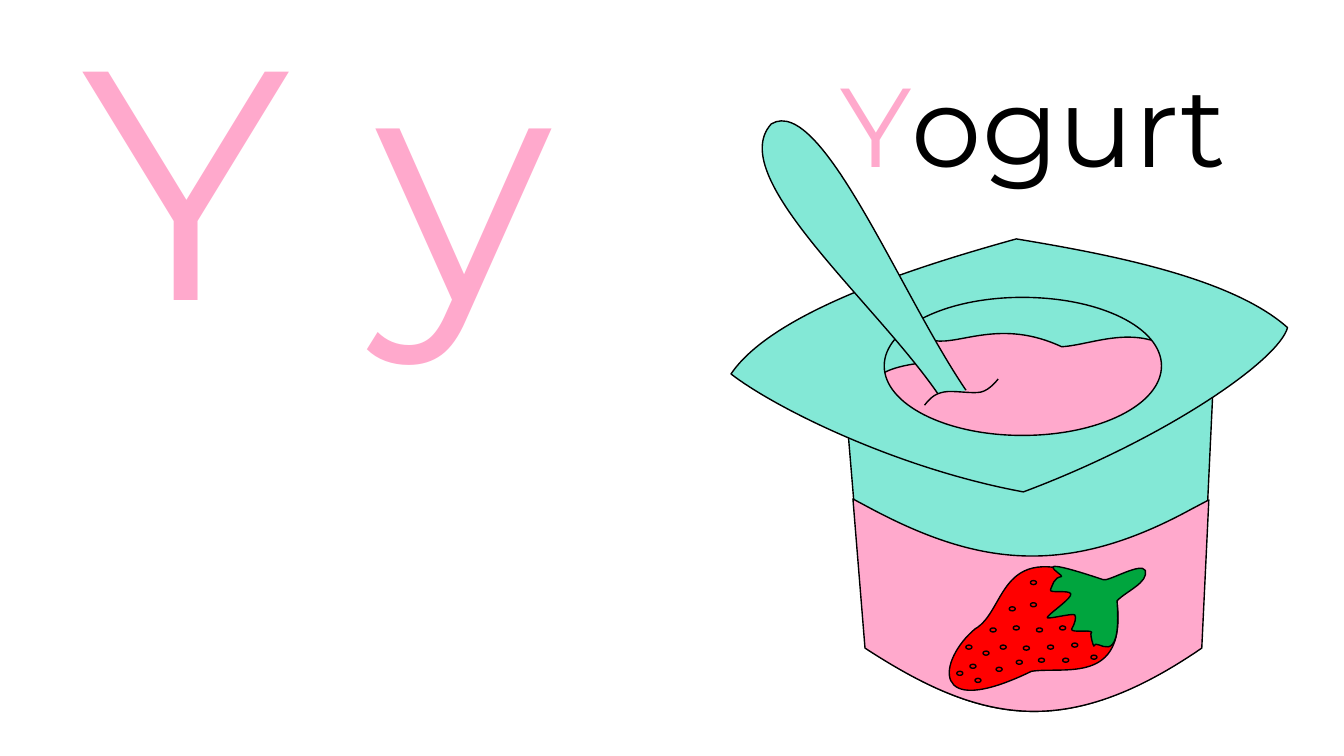
from dataclasses import dataclass
from typing import Optional

import lxml.etree
import pptx
import pptx.dml.color
import pptx.enum.shapes
import pptx.enum.text
import pptx.oxml
import pptx.oxml.ns
import pptx.util

# Grid: every length is a number of columns or rows
SLIDE_COLUMNS, SLIDE_ROWS = 1333, 750
CELL = pptx.util.Inches(0.01)
CURVE_STEPS = 24
COMMANDS = {"M": "a:moveTo", "L": "a:lnTo", "C": "a:cubicBezTo", "Z": "a:close"}

PINK, MINT, RED, GREEN, BLACK = "FFA9CC", "83E8D6", "FF0000", "00A53E", "000000"

Point = tuple[float, float]
Segment = tuple[str, list[Point]]


@dataclass(frozen=True)
class Part:
    """Outline with M (start), L (line), C (curve) and Z (close) in grid cells."""
    outline: str
    fill: str
    line: Optional[str] = BLACK


@dataclass(frozen=True)
class Letters:
    text: str
    colour: str
    outlined: bool = False


@dataclass(frozen=True)
class Heading:
    column: int
    row: int
    columns: int
    rows: int
    size: int
    letters: tuple[Letters, ...]


ALPHABET = Heading(72, -30, 653, 402, 233, (Letters("Y y", PINK, True),))
WORD = Heading(824, 50, 480, 159, 80,
               (Letters("Y", PINK, True), Letters("ogurt", BLACK)))

CUP = Part("M 832 319 C 1040 218 1169 286 1206 323 L 1191 643 "
           "C 1057 735 973 718 859 643 L 832 319 Z", MINT)
LABEL = Part("M 846 495 L 859 502 C 968 561 1056 574 1182 505 L 1199 496 "
             "L 1192 643 C 1058 735 973 718 858 643 L 846 495 Z", PINK)
YOGURT = Part("M 927 338 C 953 342 993 316 1053 344 C 1088 342 1140 313 1185 367 "
              "C 1154 390 1150 413 1092 436 L 909 436 C 870 423 823 370 915 360 "
              "C 918 343 899 339 927 338 Z", PINK)
RIM = Part("M 1008 237 C 1098 252 1221 275 1277 325 C 1268 358 1154 436 1015 488 "
           "C 890 465 769 405 725 371 C 767 309 911 264 1008 237 Z "
           "M 1014 295 C 938 295 877 325 877 363 C 877 401 938 432 1014 432 "
           "C 1091 432 1152 401 1152 363 C 1152 325 1091 295 1014 295 Z", MINT)
SPOON = Part("M 765 123 C 816 92 898 305 965 397 L 939 404 "
             "C 881 310 716 177 765 123 Z", MINT)
SPOON_COVER = Part("M 1001 369 C 1024 370 1023 377 1026 386 C 1014 395 962 403 940 412 "
                   "C 920 406 922 406 917 400 C 922 394 960 389 974 383 "
                   "C 988 378 992 368 1001 369 Z", PINK, None)
RIPPLE = Part("M 917 402 C 922 396 926 391 936 389 C 945 387 964 391 973 389 "
              "C 982 387 990 376 990 376", PINK)
STRAWBERRY = Part("M 1092 578 L 1108 598 C 1117 680 1055 661 1023 666 "
                  "C 920 716 931 654 967 624 C 1000 605 989 530 1092 578 Z", RED)
LEAVES = Part("M 1094 575 C 1098 578 1132 557 1136 566 C 1139 578 1118 586 1108 596 "
              "C 1113 668 1087 631 1085 641 C 1084 640 1082 632 1082 629 "
              "C 1088 623 1061 629 1063 624 C 1066 619 1068 612 1066 610 "
              "C 1063 608 1035 616 1039 612 C 1043 607 1064 593 1062 589 "
              "C 1060 585 1040 589 1042 585 C 1044 581 1045 573 1053 572 "
              "C 1056 571 1013 548 1094 575 Z", GREEN)
DRAWING = (CUP, LABEL, YOGURT, RIM, SPOON, SPOON_COVER, RIPPLE, STRAWBERRY, LEAVES)

SEED_COLUMNS, SEED_ROWS = 6, 4
SEEDS = ((1022, 576), (1022, 598), (1001, 602), (1005, 621), (1028, 623), (1051, 621),
         (1039, 640), (1063, 638), (1054, 653), (1082, 650), (1030, 653), (1015, 641),
         (982, 623), (992, 640), (1008, 655), (988, 662), (975, 646), (958, 640),
         (962, 659), (967, 673), (949, 666))


def rgb(colour: str) -> pptx.dml.color.RGBColor:
    return pptx.dml.color.RGBColor.from_string(colour)


def paint(shape, fill: str, line: Optional[str]) -> None:
    shape.shadow.inherit = False
    shape.fill.solid()
    shape.fill.fore_color.rgb = rgb(fill)
    if line is None:
        shape.line.fill.background()
    else:
        shape.line.color.rgb = rgb(line)
        shape.line.width = pptx.util.Pt(1)


def read_segments(outline: str) -> list[Segment]:
    numbers: list[tuple[str, list[int]]] = []
    for token in outline.split():
        if token in COMMANDS:
            numbers.append((token, []))
        else:
            numbers[-1][1].append(int(token) * CELL)
    return [(command, list(zip(n[::2], n[1::2]))) for command, n in numbers]


def curve_points(knots: list[Point]) -> list[Point]:
    points = []
    for step in range(1, CURVE_STEPS + 1):
        t = step / CURVE_STEPS
        weights = ((1 - t) ** 3, 3 * t * (1 - t) ** 2, 3 * t * t * (1 - t), t ** 3)
        points.append(tuple(sum(w * knot[axis] for w, knot in zip(weights, knots))
                            for axis in (0, 1)))
    return points


def corners(segments: list[Segment]) -> tuple[Point, Point]:
    """Top left and bottom right of the drawn outline."""
    touched: list[Point] = []
    for command, points in segments:
        touched += curve_points([touched[-1], *points]) if command == "C" else points
    columns, rows = zip(*touched)
    return (min(columns), min(rows)), (max(columns), max(rows))


def draw_part(shapes, part: Part) -> None:
    segments = read_segments(part.outline)
    top_left, bottom_right = corners(segments)
    builder = shapes.build_freeform(*top_left)
    builder.add_line_segments([bottom_right], close=False)
    shape = builder.convert_to_shape()

    # Curved segments take the place of the diagonal that sized the shape
    contour = shape._element.find(".//" + pptx.oxml.ns.qn("a:path"))
    for diagonal in list(contour):
        contour.remove(diagonal)
    for command, points in segments:
        segment = lxml.etree.SubElement(contour, pptx.oxml.ns.qn(COMMANDS[command]))
        for x, y in points:
            lxml.etree.SubElement(segment, pptx.oxml.ns.qn("a:pt"),
                                  x=str(round(x - top_left[0])),
                                  y=str(round(y - top_left[1])))
    paint(shape, part.fill, part.line)


def draw_seed(shapes, column: int, row: int) -> None:
    seed = shapes.add_shape(pptx.enum.shapes.MSO_SHAPE.OVAL, column * CELL, row * CELL,
                            SEED_COLUMNS * CELL, SEED_ROWS * CELL)
    paint(seed, RED, BLACK)


def write_heading(shapes, heading: Heading) -> None:
    box = shapes.add_textbox(heading.column * CELL, heading.row * CELL,
                             heading.columns * CELL, heading.rows * CELL)
    frame = box.text_frame
    frame.word_wrap = True
    frame.auto_size = pptx.enum.text.MSO_AUTO_SIZE.SHAPE_TO_FIT_TEXT
    font_format = {"name": "Montserrat", "size": pptx.util.Pt(heading.size)}
    for letters in heading.letters:
        run = frame.paragraphs[0].add_run()
        run.text = letters.text
        for attribute, value in font_format.items():
            setattr(run.font, attribute, value)
        run.font.color.rgb = rgb(letters.colour)
        if letters.outlined:
            run.font._element.insert(0, pptx.oxml.parse_xml(
                f'<a:ln {pptx.oxml.ns.nsdecls("a")} w="{pptx.util.Pt(0.75)}"><a:solidFill>'
                f'<a:srgbClr val="{BLACK}"/></a:solidFill></a:ln>'))


def main() -> None:
    deck = pptx.Presentation()
    deck.slide_width = SLIDE_COLUMNS * CELL
    deck.slide_height = SLIDE_ROWS * CELL
    slide = deck.slides.add_slide(deck.slide_layouts[6])

    # Letter pair
    write_heading(slide.shapes, ALPHABET)

    # Yogurt cup with its strawberry label and word
    cup_group = slide.shapes.add_group_shape().shapes
    for part in DRAWING:
        draw_part(cup_group, part)
    for column, row in SEEDS:
        draw_seed(cup_group, column, row)
    write_heading(cup_group, WORD)

    deck.save("out.pptx")


if __name__ == "__main__":
    main()
